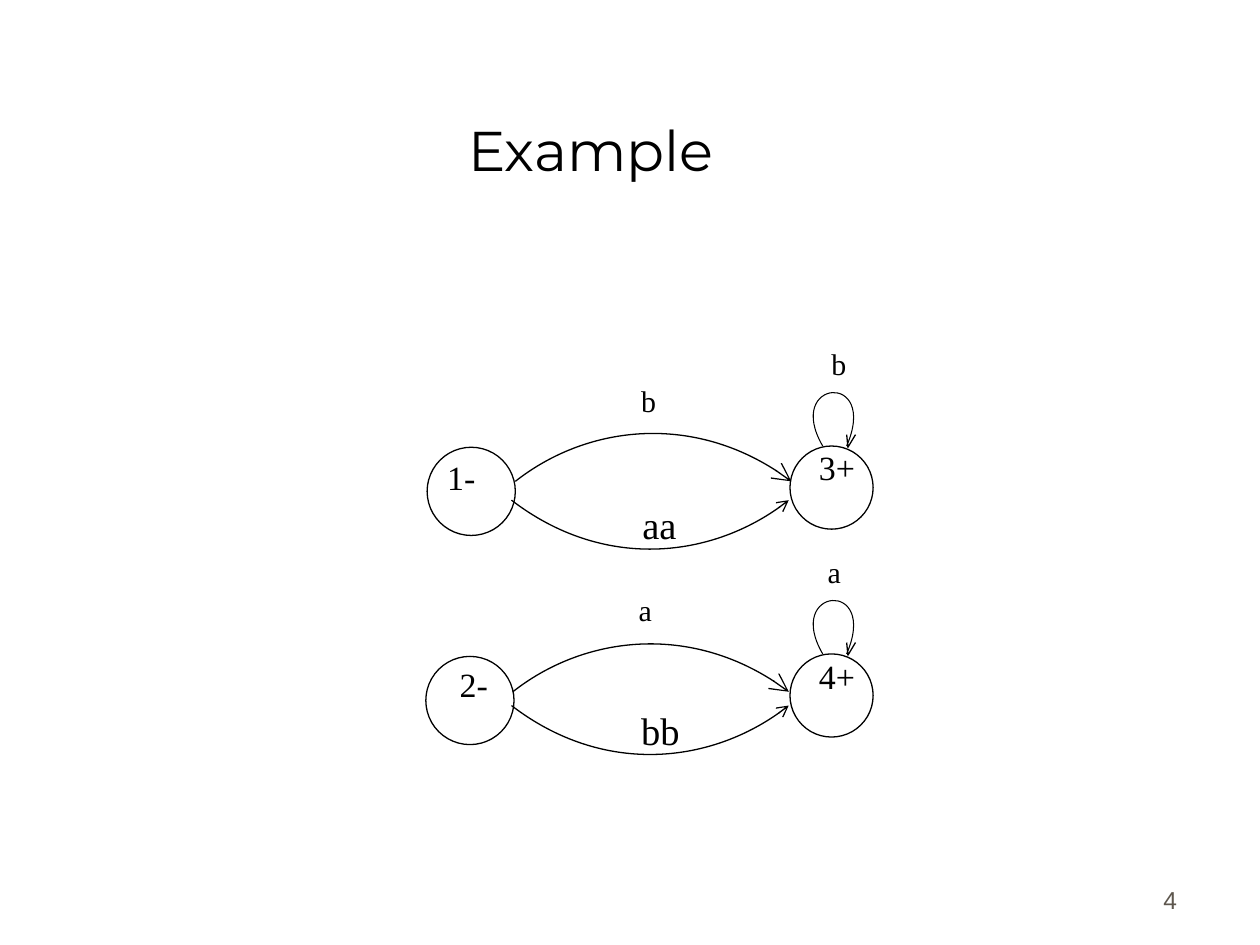
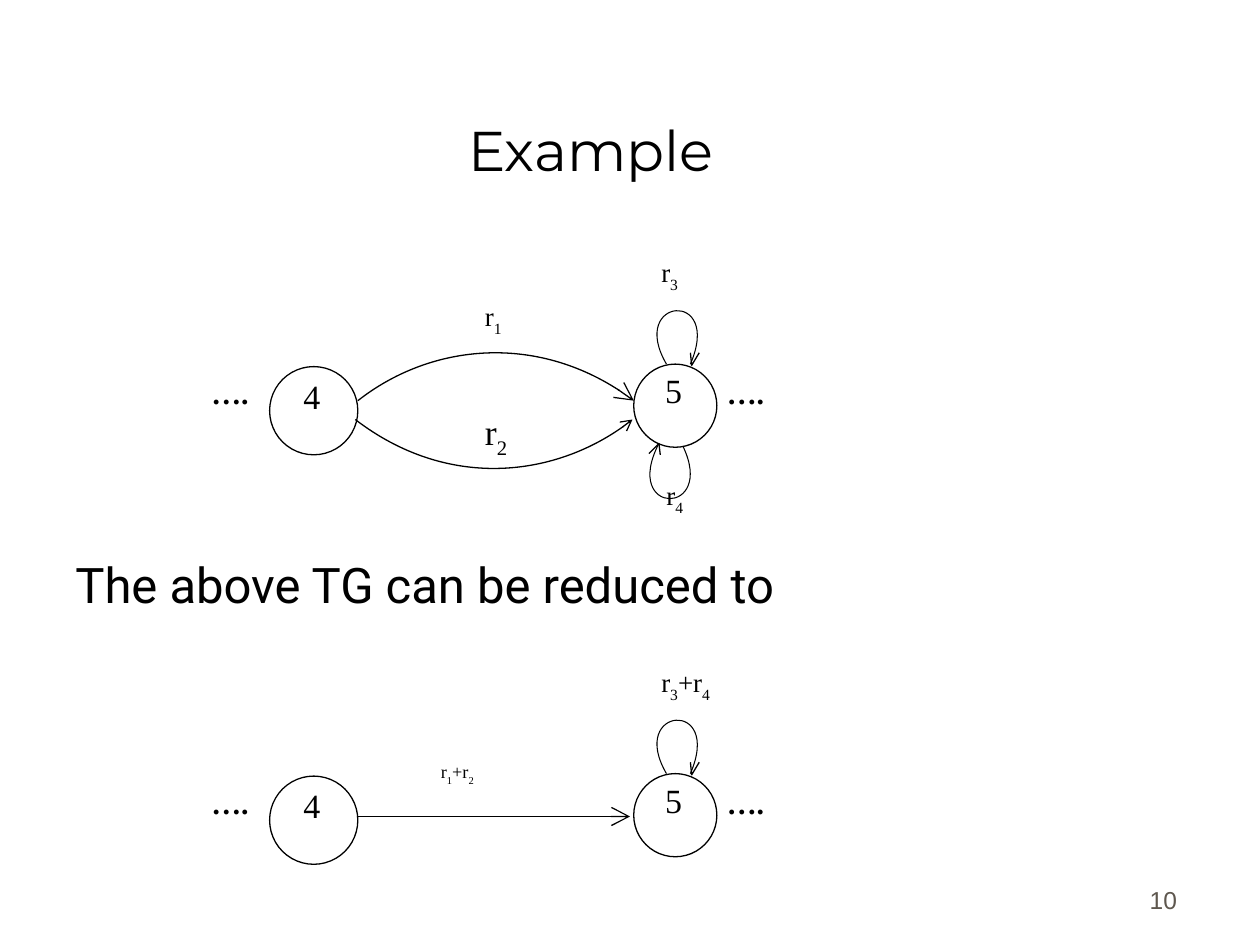
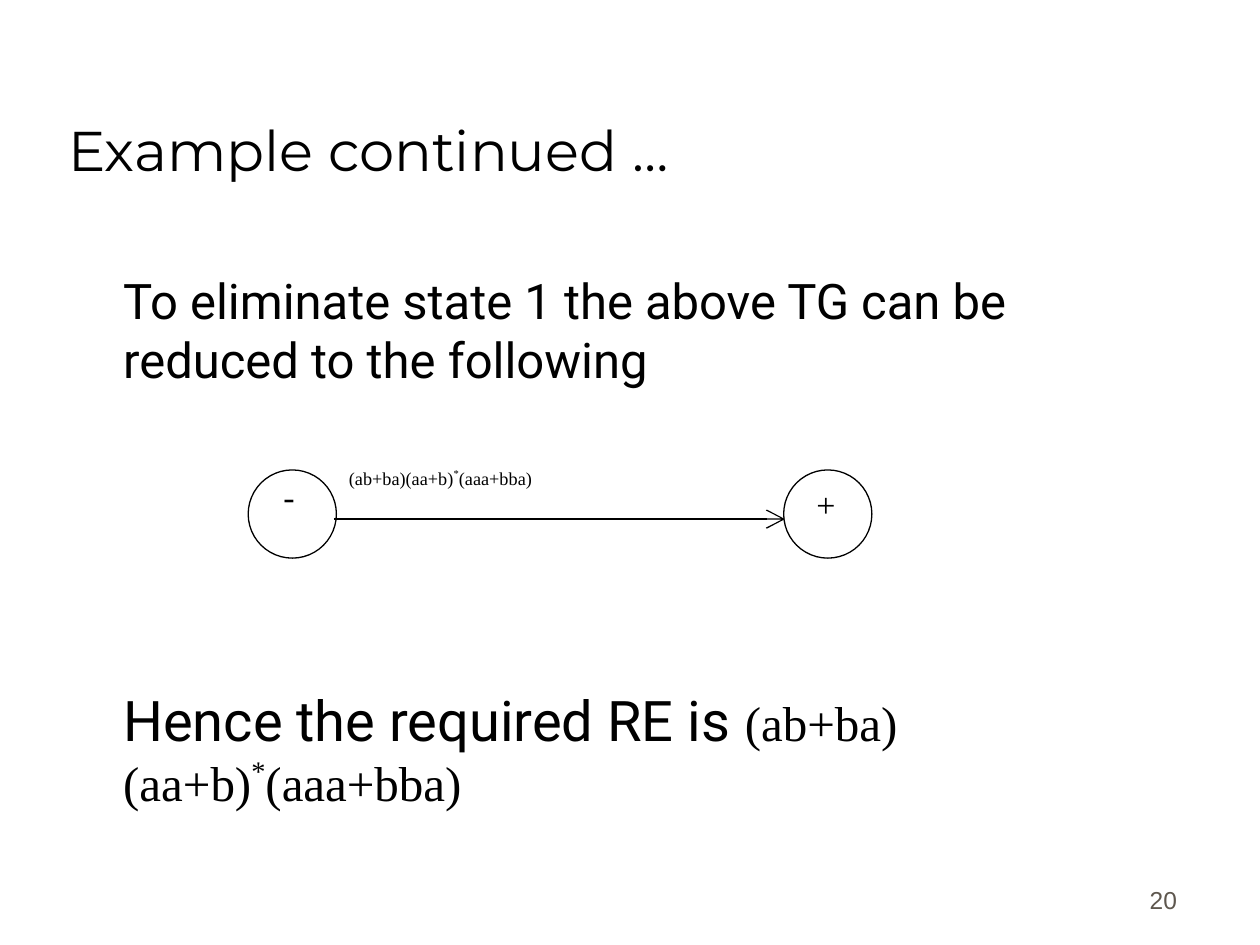
from lxml import etree
from pptx import Presentation
from pptx import util as u
from pptx.dml.color import RGBColor
from pptx.enum import shapes, text
from pptx.oxml.ns import qn

# Shared look
COLORS = {"ink": "000000", "paper": "FFFFFF", "number": "5E574E"}
FONTS = {"title": "Montserrat", "body": "Roboto", "graph": "Times New Roman", "number": "Arial"}
LINE = 0.75
BIG, SMALL = 0.7, 0.66  # diameters of start and end states
LABEL = {"state": (1.02, 0.42, 19.4, 0.8), "letter": (0.41, 0.4, 17.1, 0.8),
         "inner": (0.59, 0.5, 22, 1), "sub": (0.91, 0.42, 15.4, 0.8),
         "inner sub": (0.49, 0.5, 20.4, 0.9), "dots": (0.76, 0.42, 17.1, 0.8),
         "edge": (3.42, 0.33, 10.4, 0.8)}  # width, height, size, line spacing

# Curves as offsets: arcs from their start, loops from their circle's corner
UPPER_ARC = [(0, 0), (0.56, -0.44), (1.47, -0.55), (2.19, 0)]
LOWER_ARC = [(0, 0), (0.73, 0.56), (1.64, 0.45), (2.2, 0)]
LOOPS = {"top": ([(0.26, 0), (-0.05, -0.53), (0.71, -0.6), (0.45, 0)],
                 [(0.52, -0.09), (0.46, 0.01), (0.45, -0.09)]),
         "bottom": ([(0.39, 0.65), (0.66, 1.21), (-0.1, 1.21), (0.2, 0.63)],
                    [(0.12, 0.71), (0.2, 0.63), (0.21, 0.72)])}

# Content; in labels "_" lowers and "^" raises the next character
RE_TEXT = "(ab+ba)(aa+b)^*(aaa+bba)"
SLIDES = [
    {"title": "Example", "align": "CENTER", "number": "4",
     "circles": [(3.39, 3.55, BIG), (6.27, 3.54, SMALL), (3.38, 5.21, BIG), (6.27, 5.19, SMALL)],
     "upper": [(4.09, 3.82), (4.07, 5.49)], "lower": [(4.06, 3.97), (4.06, 5.6)],
     "loops": [(6.27, 3.54, "top"), (6.27, 5.19, "top")],
     "labels": [("1-", 3.45, 3.64, "state"), ("3+", 6.4, 3.56, "state"),
                ("2-", 3.55, 5.28, "state"), ("4+", 6.4, 5.22, "state"),
                ("b", 4.99, 3.04, "letter"), ("aa", 5, 3.93, "inner"), ("b", 6.5, 2.75, "letter"),
                ("a", 4.97, 4.7, "letter"), ("bb", 4.99, 5.56, "inner"), ("a", 6.47, 4.4, "letter")]},
    {"title": "Example", "align": "CENTER", "number": "10",
     "circles": [(x, y + drop, size) for y in (2.89, 6.14)
                 for x, drop, size in ((2.14, 0.02, BIG), (5.03, 0, SMALL))],
     "upper": [(2.84, 3.18)], "lower": [(2.82, 3.33)],
     "loops": [(5.03, 2.89, "top"), (5.03, 2.89, "bottom"), (5.03, 6.14, "top")],
     "arrows": [(2.83, 5, 6.48)],
     "labels": [(words, x, y + drop, kind) for drop in (0, 3.25)
                for words, x, y, kind in (("4", 2.31, 2.99, "state"), ("5", 5.18, 2.95, "state"),
                                          ("….", 1.58, 2.98, "dots"), ("….", 5.67, 2.98, "dots"))]
               + [("r_1", 3.75, 2.35, "sub"), ("r_2", 3.75, 3.2, "inner sub"), ("r_3", 5.15, 2, "sub"),
                  ("r_4", 5.19, 3.77, "sub"), ("r_1+r_2", 3.4, 6, "edge"), ("r_3+r_4", 5.15, 5.25, "sub")],
     "body": [(0.5, 4.35, [("The above TG can be reduced to", 28, "body")])]},
    {"title": "Example continued …", "align": "LEFT", "number": "20",
     "circles": [(1.97, 3.73, BIG), (6.22, 3.73, BIG)],
     "arrows": [(2.65, 6.23, 4.12)],
     "labels": [("-", 2.15, 3.79, "state"), ("+", 6.38, 3.85, "state"), (RE_TEXT, 2.67, 3.69, "edge")],
     "body": [(0.88, 2.1, [("To eliminate state 1 the above TG can be reduced to the following", 28, "body")]),
              (0.88, 5.39, [("Hence the required RE is ", 32, "body"), (RE_TEXT, 28, "graph")])]},
]


def color(name):
    return RGBColor.from_string(COLORS[name])


def split_marks(words):
    """Cut marked text into (text, baseline) pieces."""
    pieces, plain, baseline = [], "", 0
    for letter in words:
        if letter in "_^":
            if plain:
                pieces.append((plain, 0))
            plain, baseline = "", -30000 if letter == "_" else 40000
        elif baseline:
            pieces.append((letter, baseline))
            baseline = 0
        else:
            plain += letter
    return pieces + ([(plain, 0)] if plain else [])


def style(font, name, size, ink="ink", bold=False):
    font.name, font.size, font.bold = FONTS[name], u.Pt(size), bold
    font.color.rgb = color(ink)


def add_text(page, left, top, width, height, parts, spacing=1.0, ink="ink", bold=False):
    box = page.shapes.add_textbox(*map(u.Inches, (left, top, width, height)))
    box.text_frame.word_wrap = True
    para = box.text_frame.paragraphs[0]
    para.line_spacing = spacing
    for words, size, font in parts:
        for piece, baseline in split_marks(words):
            span = para.add_run()
            span.text = piece
            style(span.font, font, size, ink, bold)
            if baseline:
                span.font._element.set("baseline", str(baseline))
    return box


def draw_line(shape, width=LINE, head=None):
    shape.line.color.rgb = color("ink")
    shape.line.width = u.Pt(width)
    if head:
        etree.SubElement(shape.line._get_or_add_ln(), qn("a:tailEnd"), type="arrow", w=head, len=head)


def add_path(page, left, top, offsets, width=LINE, head=None, curved=True):
    points = [(u.Inches(left + x), u.Inches(top + y)) for x, y in offsets]
    builder = page.shapes.build_freeform(*points[0], scale=1.0)
    builder.add_line_segments(points[1:], close=False)
    shape = builder.convert_to_shape()
    shape.shadow.inherit = False
    shape.fill.background()
    if curved:  # turn the three segments into one Bézier curve
        outline = next(shape._element.iter(qn("a:path")))
        curve = etree.SubElement(outline, qn("a:cubicBezTo"))
        for segment in outline.findall(qn("a:lnTo")):
            curve.append(segment[0])
            outline.remove(segment)
    draw_line(shape, width, head)


def add_circle(page, left, top, size):
    circle = page.shapes.add_shape(shapes.MSO_SHAPE.OVAL, *map(u.Inches, (left, top, size, size)))
    circle.shadow.inherit = False
    circle.fill.solid()
    circle.fill.fore_color.rgb = color("paper")
    draw_line(circle)


def add_arrow(page, start, end, y):
    arrow = page.shapes.add_connector(shapes.MSO_CONNECTOR.STRAIGHT, *map(u.Inches, (start, y, end, y)))
    draw_line(arrow, head="lg")
    etree.SubElement(arrow._element.spPr, qn("a:effectLst"))


def add_frame(page, content):
    """Title and page number."""
    title = page.shapes.title
    title.left, title.top, title.width, title.height = map(u.Inches, (0.44, 0.25, 8.5, 1.25))
    title.text_frame.text = content["title"]
    title.text_frame.vertical_anchor = text.MSO_ANCHOR.BOTTOM
    para = title.text_frame.paragraphs[0]
    para.alignment = getattr(text.PP_ALIGN, content["align"])
    style(para.runs[0].font, "title", 32)
    number = add_text(page, 7.36, 6.81, 2.08, 0.5, [(content["number"], 14, "number")], ink="number")
    number.text_frame.vertical_anchor = text.MSO_ANCHOR.BOTTOM
    number.text_frame.paragraphs[0].alignment = text.PP_ALIGN.RIGHT


def add_graph(page, content):
    for circle in content["circles"]:
        add_circle(page, *circle)
    for left, top in content.get("upper", []):
        add_path(page, left, top, UPPER_ARC, head="lg")
    for left, top in content.get("lower", []):
        add_path(page, left, top, LOWER_ARC, head="med")
    for left, top, side in content.get("loops", []):
        curve, tip = LOOPS[side]
        add_path(page, left, top, curve, width=0.6)
        add_path(page, left, top, tip, curved=False)
    for arrow in content.get("arrows", []):
        add_arrow(page, *arrow)
    for words, left, top, kind in content["labels"]:
        width, height, size, spacing = LABEL[kind]
        add_text(page, left, top, width, height, [(words, size, "graph")], spacing, bold=kind == "dots")


def main():
    deck = Presentation()
    deck.slide_width, deck.slide_height = u.Inches(10), u.Inches(7.5)
    for content in SLIDES:
        page = deck.slides.add_slide(deck.slide_layouts[5])
        page.background.fill.solid()
        page.background.fill.fore_color.rgb = color("paper")
        add_frame(page, content)
        add_graph(page, content)
        for left, top, parts in content.get("body", []):
            add_text(page, left, top, 9.44 - left, 1.1, parts)
    deck.save("out.pptx")


if __name__ == "__main__":
    main()
